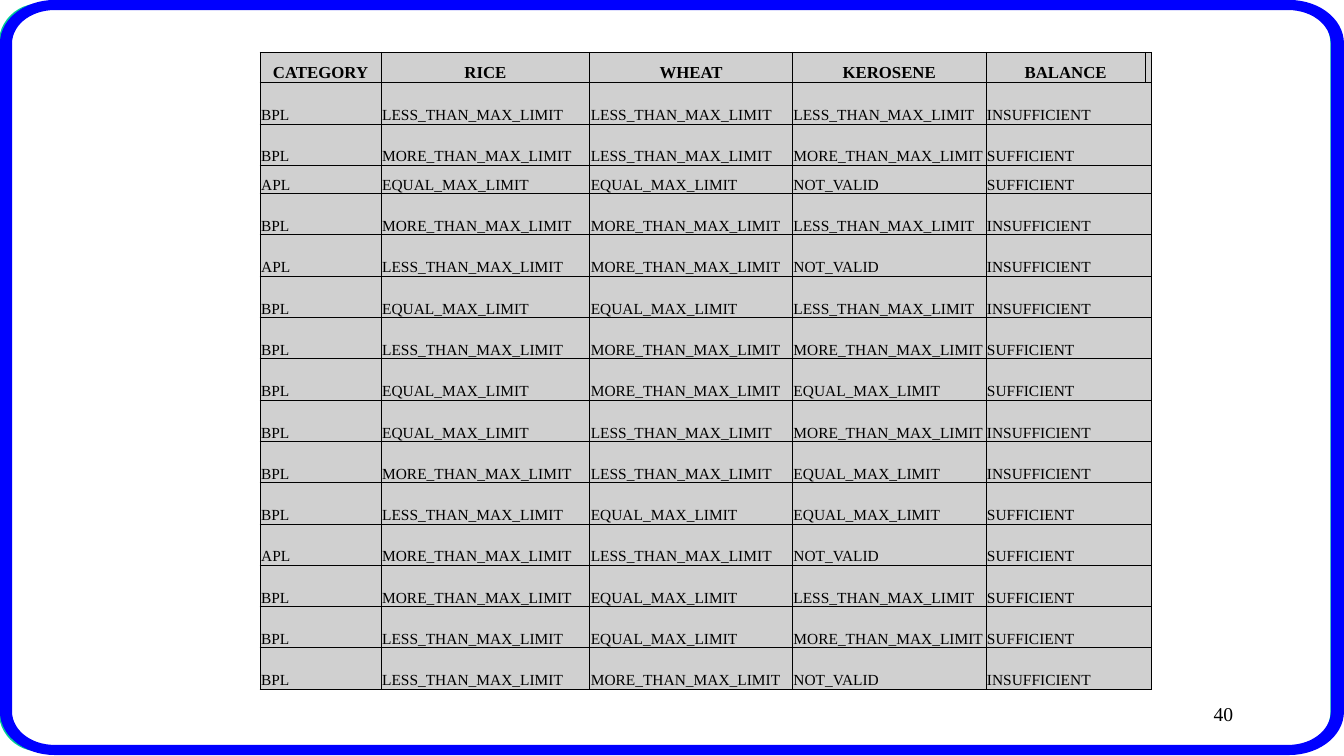
"""Build the ration limit decision table slide."""
from dataclasses import dataclass
from math import cos, radians, sin
from typing import NamedTuple

from lxml.etree import SubElement
from pptx import Presentation
from pptx.dml.color import RGBColor
from pptx.enum.shapes import MSO_SHAPE
from pptx.enum.text import MSO_ANCHOR, PP_ALIGN
from pptx.oxml.ns import qn
from pptx.slide import Slide
from pptx.table import Table, _Cell
from pptx.text.text import _Paragraph
from pptx.util import Inches, Pt

FONT = "Times New Roman"
BLACK = "000000"
WHITE = "FFFFFF"
BLUE = "0000FF"
TEAL = "00CC99"
GREY = "D0D0D0"

LESS = "LESS_THAN_MAX_LIMIT"
MORE = "MORE_THAN_MAX_LIMIT"
EQUAL = "EQUAL_MAX_LIMIT"
INVALID = "NOT_VALID"
ENOUGH = "SUFFICIENT"
SHORT = "INSUFFICIENT"


class TestCase(NamedTuple):
    """One row of the decision table."""

    category: str
    rice: str
    wheat: str
    kerosene: str
    balance: str


@dataclass(frozen=True)
class RoundedOutline:
    """A rectangle with elliptical corners, in inches."""

    left: float
    top: float
    right: float
    bottom: float
    radius_x: float
    radius_y: float

    def points(self) -> list[tuple[int, int]]:
        """Return the outline clockwise from the left end of the top-left arc."""
        near_x, far_x = self.left + self.radius_x, self.right - self.radius_x
        near_y, far_y = self.top + self.radius_y, self.bottom - self.radius_y
        corners = [(near_x, near_y, 180), (far_x, near_y, 270),
                   (far_x, far_y, 0), (near_x, far_y, 90)]
        return [
            (Inches(x + self.radius_x * cos(radians(start + step))),
             Inches(y + self.radius_y * sin(radians(start + step))))
            for x, y, start in corners
            for step in range(0, 91, 6)
        ]


HEADINGS = ("CATEGORY", "RICE", "WHEAT", "KEROSENE", "BALANCE")
TEST_CASES = [
    TestCase("BPL", LESS, LESS, LESS, SHORT),
    TestCase("BPL", MORE, LESS, MORE, ENOUGH),
    TestCase("APL", EQUAL, EQUAL, INVALID, ENOUGH),
    TestCase("BPL", MORE, MORE, LESS, SHORT),
    TestCase("APL", LESS, MORE, INVALID, SHORT),
    TestCase("BPL", EQUAL, EQUAL, LESS, SHORT),
    TestCase("BPL", LESS, MORE, MORE, ENOUGH),
    TestCase("BPL", EQUAL, MORE, EQUAL, ENOUGH),
    TestCase("BPL", EQUAL, LESS, MORE, SHORT),
    TestCase("BPL", MORE, LESS, EQUAL, SHORT),
    TestCase("BPL", LESS, EQUAL, EQUAL, ENOUGH),
    TestCase("APL", MORE, LESS, INVALID, ENOUGH),
    TestCase("BPL", MORE, EQUAL, LESS, ENOUGH),
    TestCase("BPL", LESS, EQUAL, MORE, ENOUGH),
    TestCase("BPL", LESS, MORE, INVALID, SHORT),
]
COLUMN_WIDTHS = (1.2, 2.07, 2.01, 1.92, 1.58, 0.04)
ROW_HEIGHT = 0.41
SPECIAL_HEIGHTS = {0: 0.3, 3: 0.28}
OUTER_EDGE = RoundedOutline(0, 0, 13.33, 7.49, 0.54, 0.43)
INNER_EDGE = RoundedOutline(0.12, 0.1, 13.2, 7.39, 0.42, 0.33)


def color(value: str) -> RGBColor:
    """Turn a hex string into a colour."""
    return RGBColor.from_string(value)


def add_run(paragraph: _Paragraph, text: str, size: float, bold: bool = False) -> None:
    """Append a formatted run."""
    run = paragraph.add_run()
    run.text = text
    run.font.name = FONT
    run.font.size = Pt(size)
    run.font.bold = bold
    run.font.color.rgb = color(BLACK)


def add_frame(slide: Slide) -> None:
    """Draw the teal-edged panel and the blue ring around the slide."""
    panel = slide.shapes.add_shape(MSO_SHAPE.ROUNDED_RECTANGLE, Inches(0),
                                   Inches(0.05), Inches(13.21), Inches(7.39))
    panel.adjustments[0] = 0.052
    panel.shadow.inherit = False
    panel.fill.solid()
    panel.fill.fore_color.rgb = color(WHITE)
    panel.line.color.rgb = color(TEAL)
    panel.line.width = Pt(2)

    outer, inner = OUTER_EDGE.points(), INNER_EDGE.points()[::-1]
    builder = slide.shapes.build_freeform(*outer[0])
    builder.add_line_segments(outer[1:])
    builder.move_to(*inner[0])
    builder.add_line_segments(inner[1:])
    ring = builder.convert_to_shape()
    ring.shadow.inherit = False
    ring.fill.solid()
    ring.fill.fore_color.rgb = color(BLUE)
    ring.line.fill.background()


def add_borders(cell: _Cell) -> None:
    """Give a cell thin black borders on all sides."""
    properties = cell._tc.get_or_add_tcPr()
    for index, side in enumerate(("a:lnL", "a:lnR", "a:lnT", "a:lnB")):
        border = SubElement(properties, qn(side), w=str(Pt(0.75)))
        fill = SubElement(border, qn("a:solidFill"))
        SubElement(fill, qn("a:srgbClr"), val=BLACK)
        properties.insert(index, border)


def format_cell(cell: _Cell) -> None:
    """Set the fill, borders, margins and empty-text size of a cell."""
    cell.fill.solid()
    cell.fill.fore_color.rgb = color(GREY)
    cell.vertical_anchor = MSO_ANCHOR.BOTTOM
    cell.margin_left = cell.margin_right = cell.margin_top = Inches(0.01)
    cell.margin_bottom = 0
    add_borders(cell)
    SubElement(cell.text_frame.paragraphs[0]._p, qn("a:endParaRPr"), sz="1100")


def fill_row(table: Table, row: int, texts: tuple[str, ...]) -> None:
    """Write one row; the heading row is bold and centred."""
    heading = row == 0
    for column, text in enumerate(texts):
        paragraph = table.cell(row, column).text_frame.paragraphs[0]
        paragraph.alignment = PP_ALIGN.CENTER if heading else PP_ALIGN.LEFT
        add_run(paragraph, text, 12 if heading else 11, heading)
    if not heading:
        table.cell(row, 4).merge(table.cell(row, 5))


def add_decision_table(slide: Slide) -> None:
    """Add the table of test cases."""
    rows = [HEADINGS, *TEST_CASES]
    heights = [SPECIAL_HEIGHTS.get(row, ROW_HEIGHT) for row in range(len(rows))]
    table = slide.shapes.add_table(
        len(rows), len(COLUMN_WIDTHS), Inches(2.58), Inches(0.52),
        Inches(sum(COLUMN_WIDTHS)), Inches(sum(heights))).table
    table.first_row = False
    table.horz_banding = False
    for column, width in zip(table.columns, COLUMN_WIDTHS):
        column.width = Inches(width)
    for row, height in zip(table.rows, heights):
        row.height = Inches(height)
    for cell in table.iter_cells():
        format_cell(cell)
    for row, texts in enumerate(rows):
        fill_row(table, row, texts)


def add_page_number(slide: Slide) -> None:
    """Add the page number at the bottom right."""
    box = slide.shapes.add_textbox(Inches(9.55), Inches(6.83), Inches(2.78), Inches(0.5))
    box.text_frame.word_wrap = True
    box.text_frame.vertical_anchor = MSO_ANCHOR.MIDDLE
    paragraph = box.text_frame.paragraphs[0]
    paragraph.alignment = PP_ALIGN.RIGHT
    add_run(paragraph, "40", 14)


def main() -> None:
    """Build and save the presentation."""
    presentation = Presentation()
    presentation.slide_width = Inches(13.33)
    presentation.slide_height = Inches(7.5)
    slide = presentation.slides.add_slide(presentation.slide_layouts[6])
    add_frame(slide)
    add_page_number(slide)
    add_decision_table(slide)
    presentation.save("out.pptx")


if __name__ == "__main__":
    main()
